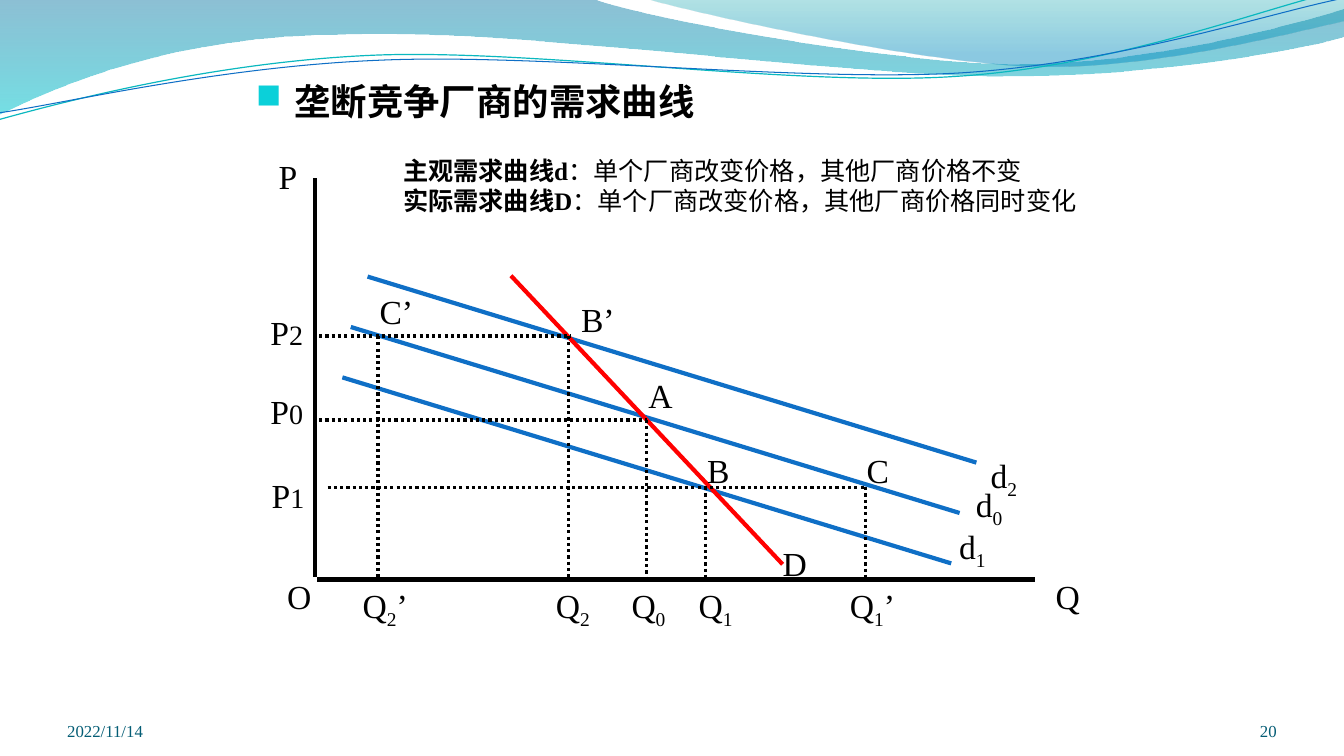
from lxml import etree
from pptx import Presentation
from pptx.dml.color import RGBColor
from pptx.enum import dml, shapes, text
from pptx.oxml import ns
from pptx.util import Pt

BLACK = RGBColor(0x00, 0x00, 0x00)
BLUE = RGBColor(0x0F, 0x6F, 0xC6)
RED = RGBColor(0xFF, 0x00, 0x00)
TEAL = RGBColor(0x0A, 0xB8, 0xBF)
DATE_COLOR = RGBColor(0x04, 0x5D, 0x75)
NUMBER_COLOR = RGBColor(0x04, 0x5C, 0x75)
BULLET = RGBColor(0x0B, 0xD0, 0xD9)
BAND_TOP = RGBColor(0x00, 0x74, 0xA1)
BAND_BOTTOM = RGBColor(0x00, 0xC6, 0xCF)
SWOOSH_TOP = RGBColor(0x00, 0xA1, 0xA9)
SWOOSH_BOTTOM = RGBColor(0x00, 0x8B, 0xBF)
SERIF = "Times New Roman"
SANS = "Noto Sans CJK SC"

deck = Presentation()
deck.slide_width, deck.slide_height = Pt(960), Pt(540)
page = deck.slides.add_slide(deck.slide_layouts[6])


def add_line(start, end, color, width, dotted=False):
    line = page.shapes.add_connector(
        shapes.MSO_CONNECTOR.STRAIGHT, *[Pt(value) for value in start + end])
    line.line.color.rgb = color
    line.line.width = Pt(width)
    if dotted:
        line.line.dash_style = dml.MSO_LINE.ROUND_DOT
    else:
        line._element.spPr.find(ns.qn("a:ln")).set("cap", "sq")
    etree.SubElement(line._element.spPr, ns.qn("a:effectLst"))


def add_text(left, top, width, height, paragraphs, size, font=SERIF, color=BLACK, wrap=True):
    """Add a text box; each paragraph is a list of its run texts."""
    box = page.shapes.add_textbox(Pt(left), Pt(top), Pt(width), Pt(height))
    frame = box.text_frame
    frame.word_wrap = wrap
    for index, pieces in enumerate(paragraphs):
        para = frame.add_paragraph() if index else frame.paragraphs[0]
        para.font.size, para.font.name = Pt(size), font
        para.font.color.rgb = color
        for piece in pieces:
            para.add_run().text = piece
    return frame


# Header waves: a start point, then lines (2 numbers) or Bézier curves (6 numbers)
band = [(0, -1), (423, -1), (456.5, 12, 637, 45.5, 728, 45.5),
        (819.5, 45.5, 920, 18.5, 960, 6.5), (961, 26),
        (944, 31.5, 835, 54.5, 716, 54), (597, 54, 366.5, 20, 247, 24.5),
        (124, 25, 44, 60, -1, 81.5)]
swoosh = [(460, -1), (489, 8, 654.5, 44.5, 738, 47),
          (821.5, 49.5, 923, 23, 960, 15), (960, 0)]
teal_wave = [(-1, 85.5), (46, 72.5, 152, 44.5, 265.5, 39.5),
             (379.5, 34.5, 569, 62.5, 684, 54.5), (799, 47, 901.5, 6, 958.5, -7)]
blue_wave = [(0, 80.5), (45.5, 74, 157, 47.5, 272, 43),
             (386.5, 38, 573, 59, 687.5, 52), (803, 44.5, 903.5, 10, 960.5, -1.5)]

for outline, gradient, stroke in (
        (band, ((0, BAND_TOP, 45), (1, BAND_BOTTOM, 55)), None),
        (swoosh, ((0, SWOOSH_TOP, 30), (0.8, SWOOSH_BOTTOM, 45)), None),
        (teal_wave, None, (TEAL, 0.85)),
        (blue_wave, None, (BLUE, 0.75))):
    anchors = [(Pt(segment[-2]), Pt(segment[-1])) for segment in outline]
    builder = page.shapes.build_freeform(*anchors[0])
    builder.add_line_segments(anchors[1:], close=gradient is not None)
    wave = builder.convert_to_shape()
    wave.shadow.inherit = False
    pieces = list(wave._element.spPr.iter(ns.qn("a:lnTo")))
    for piece, segment in zip(pieces, outline[1:]):
        if len(segment) == 6:
            curve = etree.Element(ns.qn("a:cubicBezTo"))
            for x, y in zip(segment[::2], segment[1::2]):
                etree.SubElement(curve, ns.qn("a:pt"),
                                 x=str(Pt(x) - wave.left), y=str(Pt(y) - wave.top))
            piece.getparent().replace(piece, curve)
    if gradient:
        wave.line.fill.background()
        wave.fill.gradient()
        wave.fill.gradient_angle = 270
        for stop, (position, color, opacity) in zip(wave.fill.gradient_stops, gradient):
            stop.position = position
            stop.color.rgb = color
        for node, (_, _, opacity) in zip(wave._element.spPr.iter(ns.qn("a:srgbClr")), gradient):
            etree.SubElement(node, ns.qn("a:alpha"), val=str(opacity * 1000))
    else:
        wave.fill.background()
        wave.line.color.rgb, wave.line.width = stroke[0], Pt(stroke[1])

# Date and page number
for left, width, words, align, color in (
        (48, 224, "2022/11/14", text.PP_ALIGN.LEFT, DATE_COLOR),
        (832, 80, "20", text.PP_ALIGN.RIGHT, NUMBER_COLOR)):
    frame = add_text(left, 500.4, width, 28.8, [[words]], 12, color=color)
    frame.margin_left = frame.margin_right = frame.margin_top = frame.margin_bottom = 0
    frame.vertical_anchor = text.MSO_ANCHOR.BOTTOM
    frame.paragraphs[0].alignment = align

# Axes
add_line((225, 129), (225, 411), BLACK, 3)
add_line((228, 414), (738, 414), BLACK, 3)

# Subjective demand curves d2, d0, d1 and actual demand curve D
for x, y in ((264, 198), (252, 234), (246, 270)):
    add_line((x, y), (x + 432, y + 132), BLUE, 3)
add_line((366, 198), (558, 402), RED, 3)

# Dotted guides to the price axis and the quantity axis
for left, right, y in ((228, 408, 240), (228, 462, 300), (234, 618, 348)):
    add_line((left, y), (right, y), BLACK, 2.25, dotted=True)
for x, y in ((270, 240), (406, 240), (462, 300), (504, 348), (618, 348)):
    add_line((x, y), (x, 414), BLACK, 2.25, dotted=True)

# Labels: left, top, width, then the letter, its index and a prime
for left, top, width, *pieces in (
        (192, 108, 28, "P"), (747, 408, 31.7, "Q"), (198, 408, 31.7, "O"),
        (186, 219.6, 38, "P", "2"), (186, 276, 38, "P", "0"), (187, 336, 38, "P", "1"),
        (252, 414, 60, "Q", "2", "’"), (390, 414, 40, "Q", "2"),
        (444, 414, 40, "Q", "0"), (492, 414, 40, "Q", "1"),
        (600, 414, 60, "Q", "1", "’"),
        (700.5, 321.3, 34.5, "d", "2"), (690, 342, 34.5, "d", "0"),
        (678, 372, 34.5, "d", "1"), (552, 384, 31.7, "D"),
        (456, 264, 31.7, "A"), (498, 318, 30.4, "B"), (408, 210, 38.3, "B’"),
        (612, 318, 30.4, "C"), (264, 204, 38.3, "C’")):
    frame = add_text(left, top, width, 36, [pieces], 24, wrap=len(pieces) == 3)
    frame.auto_size = text.MSO_AUTO_SIZE.SHAPE_TO_FIT_TEXT
    spans = frame.paragraphs[0].runs
    if len(spans) > 1:
        if pieces[0] == "P":
            spans[1].font.size = Pt(20)
        else:
            spans[1]._r.get_or_add_rPr().set("baseline", "-25000")

# Heading with a square bullet
heading = add_text(175.7, 52.6, 609, 420, [[" ", "垄断竞争厂商的需求曲线"]], 26, SANS).paragraphs[0]
heading.runs[1].font.bold = True
for span in heading.runs:
    etree.SubElement(span._r.get_or_add_rPr(), ns.qn("a:ea"), typeface=SANS)
bullet = heading._p.get_or_add_pPr()
bullet.set("marL", str(Pt(21.6)))
bullet.set("indent", str(-Pt(21.6)))
bullet_color = etree.Element(ns.qn("a:buClr"))
etree.SubElement(bullet_color, ns.qn("a:srgbClr"), val=str(BULLET))
bullet_size = etree.Element(ns.qn("a:buSzPct"), val="95000")
bullet_mark = etree.Element(ns.qn("a:buChar"), char="■")
for index, node in enumerate((bullet_color, bullet_size, bullet_mark)):
    bullet.insert(index, node)

# Definitions of the two curves
definitions = add_text(280.8, 107.3, 505, 75, [
    ["主观需求曲线d", "：单个厂商改变价格，其他厂商价格不变"],
    ["实际需求曲线D", "：单个厂商改变价格，其他厂商价格同时变化"]], 18)
for para in definitions.paragraphs:
    para.runs[0].font.bold = True

deck.save("out.pptx")
